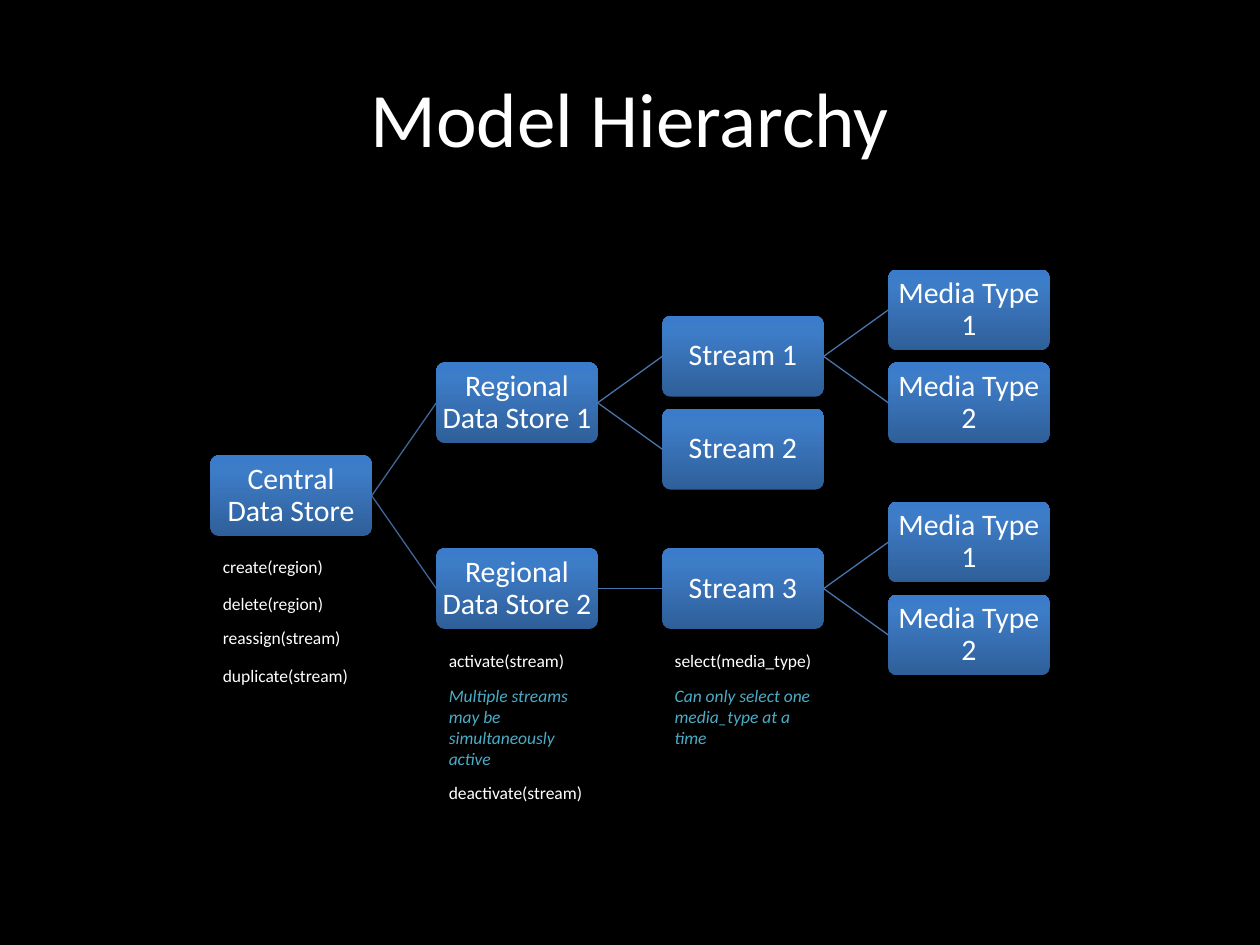
from copy import deepcopy

from lxml import etree
from pptx import Presentation
from pptx import util as u
from pptx.dml.color import RGBColor
from pptx.enum import shapes, text
from pptx.oxml.ns import qn

THEME = {
    "font": "Calibri",
    "background": "000000",
    "white": "FFFFFF",
    "remark": "4BACC6",
    "node_stops": [(0, "2F5F99"), (0.8, "3D7CC7"), (1, "3A7CCB")],
    "root_link": "3F6797",
    "link": "4875AC",
    "title_size": 44,
    "node_size": 17,
    "note_size": 10,
}


def write(sp, words, size, color="white", italic=False, align="LEFT",
          anchor="TOP", spacing=1.0, margins=(0.1, 0.05)):
    tf = sp.text_frame
    side, edge = (u.Inches(m) for m in margins)
    frame = {"word_wrap": True, "margin_left": side, "margin_right": side,
             "margin_top": edge, "margin_bottom": edge,
             "vertical_anchor": getattr(text.MSO_ANCHOR, anchor)}
    for name, value in frame.items():
        setattr(tf, name, value)
    p = tf.paragraphs[0]
    p.alignment = getattr(text.PP_ALIGN, align)
    p.line_spacing = spacing
    r = p.add_run()
    r.text = words
    font = {"name": THEME["font"], "size": u.Pt(THEME[size]), "italic": italic}
    for name, value in font.items():
        setattr(r.font, name, value)
    r.font.color.rgb = RGBColor.from_string(THEME[color])


def fill_gradient(sp, stops):
    sp.fill.gradient()
    sp.fill.gradient_angle = 90
    stop_list = sp._element.spPr.find(qn("a:gradFill")).find(qn("a:gsLst"))
    while len(stop_list) < len(stops):
        stop_list.append(deepcopy(stop_list[0]))
    for stop, (position, color) in zip(sp.fill.gradient_stops, stops):
        stop.position = position
        stop.color.rgb = RGBColor.from_string(color)


prs = Presentation()
prs.slide_width, prs.slide_height = u.Inches(10), u.Inches(7.5)
s = prs.slides.add_slide(prs.slide_layouts[6])
s.background.fill.solid()
s.background.fill.fore_color.rgb = RGBColor.from_string(THEME["background"])

# Title
title = s.shapes.add_textbox(u.Inches(0.5), u.Inches(0.3), u.Inches(9), u.Inches(1.25))
write(title, "Model Hierarchy", "title_size", align="CENTER", anchor="MIDDLE")

# Tree nodes: key, label, level, half-row, parent key
NODES = [
    ("central", "Central Data Store", 0, 4, None),
    ("region1", "Regional Data Store 1", 1, 2, "central"),
    ("stream1", "Stream 1", 2, 1, "region1"),
    ("media1a", "Media Type 1", 3, 0, "stream1"),
    ("media1b", "Media Type 2", 3, 2, "stream1"),
    ("stream2", "Stream 2", 2, 3, "region1"),
    ("region2", "Regional Data Store 2", 1, 6, "central"),
    ("stream3", "Stream 3", 2, 6, "region2"),
    ("media3a", "Media Type 1", 3, 5, "stream3"),
    ("media3b", "Media Type 2", 3, 7, "stream3"),
]
LEFT, TOP, WIDTH, HEIGHT = 1.67, 2.14, 1.28, 0.64
LEVEL_STEP = (7.05 - LEFT) / 3
ROW_STEP = (4.72 - TOP) / 7
RIGHT_SITE, LEFT_SITE = 3, 1

nodes = {}
for key, label, level, row, parent in NODES:
    sp = s.shapes.add_shape(
        shapes.MSO_SHAPE.ROUNDED_RECTANGLE,
        u.Inches(LEFT + level * LEVEL_STEP), u.Inches(TOP + row * ROW_STEP),
        u.Inches(WIDTH), u.Inches(HEIGHT))
    sp.adjustments[0] = 0.1
    sp.shadow.inherit = False
    sp.line.fill.background()
    fill_gradient(sp, THEME["node_stops"])
    write(sp, label, "node_size", align="CENTER", anchor="MIDDLE",
          spacing=0.9, margins=(0.03, 0.03))
    nodes[key] = sp

# Links from each parent to its children
for key, label, level, row, parent in NODES:
    if parent is None:
        continue
    link = s.shapes.add_connector(shapes.MSO_CONNECTOR.STRAIGHT, 0, 0, 0, 0)
    link.begin_connect(nodes[parent], RIGHT_SITE)
    link.end_connect(nodes[key], LEFT_SITE)
    link.line.width = u.Pt(0.75)
    color = THEME["root_link" if parent == "central" else "link"]
    link.line.color.rgb = RGBColor.from_string(color)
    etree.SubElement(link._element.spPr, qn("a:effectLst"))

# Operations and remarks under the nodes: level, top, height, words, is remark
NOTES = [
    (0, 4.36, 0.27, "create(region)", False),
    (0, 4.66, 0.27, "delete(region)", False),
    (0, 4.93, 0.27, "reassign(stream)", False),
    (0, 5.23, 0.27, "duplicate(stream)", False),
    (1, 5.11, 0.27, "activate(stream)", False),
    (1, 5.39, 0.77, "Multiple streams may be simultaneously active", True),
    (1, 6.16, 0.27, "deactivate(stream)", False),
    (2, 5.11, 0.27, "select(media_type)", False),
    (2, 5.39, 0.61, "Can only select one media_type at a time", True),
]
for level, top, height, words, remark in NOTES:
    note = s.shapes.add_textbox(u.Inches(LEFT + level * LEVEL_STEP), u.Inches(top),
                                u.Inches(1.29), u.Inches(height))
    write(note, words, "note_size", "remark" if remark else "white", italic=remark)

prs.save("out.pptx")
